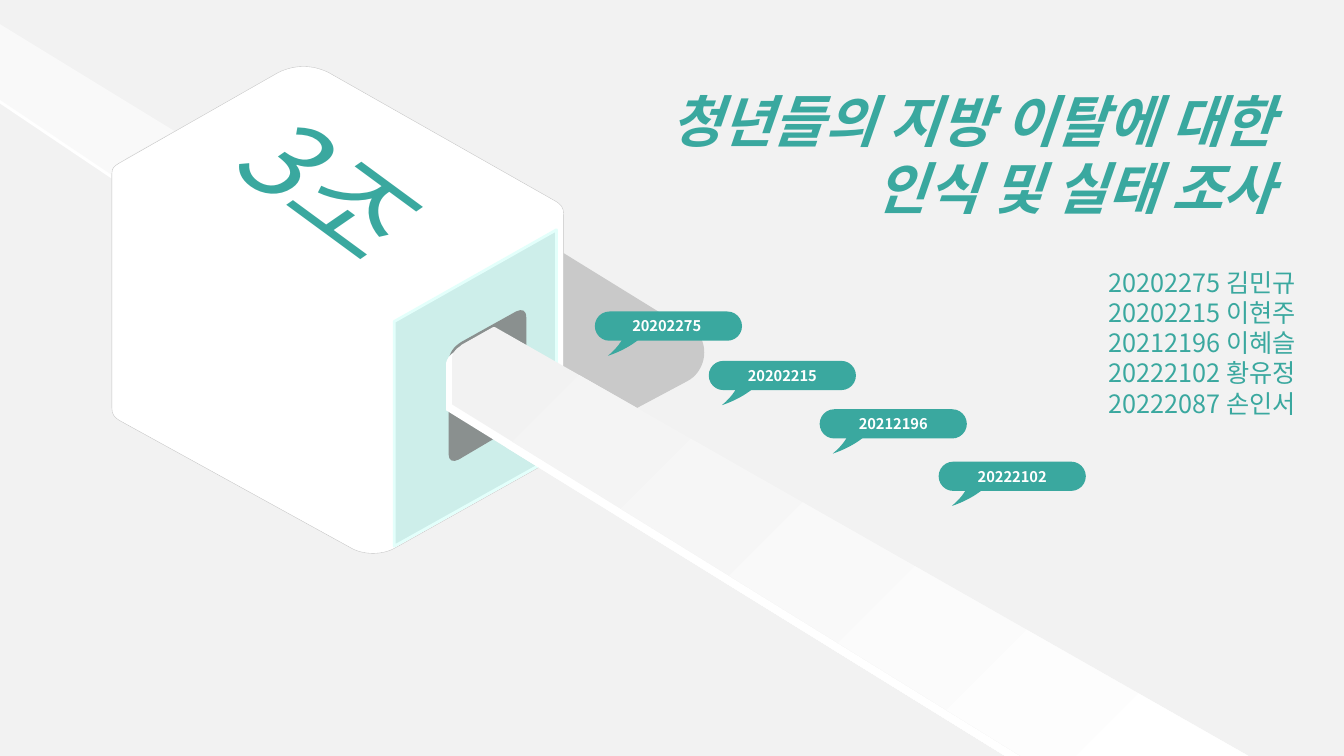
from lxml import etree
from pptx import Presentation
from pptx.dml.color import RGBColor
from pptx.enum.shapes import MSO_SHAPE as Preset
from pptx.enum.text import MSO_ANCHOR as Anchor, MSO_AUTO_SIZE as AutoSize, PP_ALIGN as Align
from pptx.oxml.ns import qn
from pptx.util import Inches, Pt

TITLE = "청년들의 지방 이탈에 대한 인식 및 실태 조사"
TEAM = "3조"
MEMBERS = [
    ("20202275", "김민규"),
    ("20202215", "이현주"),
    ("20212196", "이혜슬"),
    ("20222102", "황유정"),
    ("20222087", "손인서"),
]
TAGS = [
    ("20202275 ", (5.9, 3.09)),
    ("20202215", (7.03, 3.58)),
    ("20212196", (8.13, 4.06)),
    ("20222102", (9.31, 4.58)),
]

WIDTH, HEIGHT = 13.33, 7.5
TAG_SIZE = (1.46, 0.29)
FONT = "Noto Sans CJK KR"
COLORS = {
    "background": "F2F2F2",
    "teal": "3AA89F",
    "white": "FFFFFF",
    "mint": "CDEEEA",
    "glow": "E3FFFB",
    "hole": "8A908F",
    "edge": "C4C4C4",
    "rear belt": "F9F9F9",
    "black": "000000",
}

CUBE_SHADOW = [
    (2.39, 3.31), (2.3, 3.16, 2.36, 2.97, 2.52, 2.89),
    (3.51, 2.36, 1.6, 2.78, 2.59, 2.25), (2.75, 2.16, 4.65, 1.83, 4.73, 1.98),
    (6.95, 3.35), (7.03, 3.5, 6.97, 3.7, 6.82, 3.78),
    (3.84, 5.37), (3.68, 5.45, 3.49, 5.39, 3.41, 5.24),
]
CUBE = [
    (1.11, 1.72), (1.11, 1.67, 1.13, 1.65, 1.18, 1.62),
    (2.76, 0.72), (2.92, 0.64, 3.1, 0.64, 3.26, 0.72),
    (5.5, 1.99), (5.57, 2.03, 5.59, 2.06, 5.59, 2.13),
    (5.59, 4.38), (5.59, 4.47, 5.57, 4.51, 5.5, 4.55),
    (3.93, 5.43), (3.8, 5.51, 3.6, 5.51, 3.47, 5.43),
    (1.2, 4.18), (1.13, 4.14, 1.11, 4.11, 1.11, 4.05),
]
FACE = [(3.91, 3.19), (5.52, 2.28), (5.52, 4.52), (3.91, 5.42)]
HOLE = [
    (4.45, 3.6), (4.45, 3.5, 4.5, 3.44, 4.58, 3.39),
    (5.12, 3.09), (5.18, 3.06, 5.22, 3.08, 5.22, 3.15),
    (5.22, 4.1), (5.22, 4.15, 5.2, 4.18, 5.16, 4.2),
    (4.55, 4.56), (4.49, 4.59, 4.45, 4.57, 4.45, 4.51),
]
FRONT_BELT = [
    (4.9, 3.24), (12.4, 7.51), (10.14, 7.51), (4.48, 4.01), (4.48, 3.57),
    (4.48, 3.53, 4.5, 3.49, 4.53, 3.46), (4.57, 3.43), (4.58, 3.42),
]
REAR_BELT = [
    (0, 0.24), (1.73, 1.3), (1.25, 1.57), (1.24, 1.59), (1.2, 1.61),
    (1.17, 1.64, 1.16, 1.68, 1.16, 1.72), (1.16, 1.77), (0, 0.99),
]
TAIL = [
    (0.56, 0.13), (0.31, 0.15), (0.31, 0.17),
    (0.3, 0.25, 0.24, 0.35, 0.13, 0.44), (0.31, 0.38, 0.46, 0.28, 0.53, 0.18),
]


def color(name):
    return RGBColor.from_string(COLORS[name])


def paint(shape, fill):
    shape.shadow.inherit = False
    shape.fill.solid()
    shape.fill.fore_color.rgb = color(fill)
    shape.line.fill.background()
    return shape


def draw(shapes, outline, fill, corner=(0, 0)):
    points = [
        (Inches(step[i] + corner[0]), Inches(step[i + 1] + corner[1]))
        for step in outline for i in range(0, len(step), 2)
    ]
    builder = shapes.build_freeform(*points[0])
    builder.add_line_segments(points[1:], close=True)
    shape = builder.convert_to_shape()
    segments = list(shape._element.iter(qn("a:lnTo")))
    for step in outline[1:]:
        parts = [segments.pop(0) for _ in range(len(step) // 2)]
        if len(parts) == 3:
            curve = etree.Element(qn("a:cubicBezTo"))
            parts[0].addprevious(curve)
            for part in parts:
                curve.append(part[0])
                part.getparent().remove(part)
    return paint(shape, fill)


def set_line(shape, fill, points):
    shape.line.color.rgb = color(fill)
    shape.line.width = Pt(points)


def set_alpha(shape, percent):
    rgb = shape.fill._xPr.find(".//" + qn("a:srgbClr"))
    etree.SubElement(rgb, qn("a:alpha"), val=str(percent * 1000))


def cast_shadow(shape, points, degrees):
    effects = shape._element.spPr.find(qn("a:effectLst"))
    shadow = etree.SubElement(
        effects, qn("a:outerShdw"), blurRad="0", dist=str(Pt(points)),
        dir=str(degrees * 60000), algn="tl", rotWithShape="0")
    etree.SubElement(shadow, qn("a:srgbClr"), val=COLORS["white"])


def write(shape, lines, size, fill="teal", align=Align.LEFT, wrap=True, anchor=Anchor.TOP,
          grow=True, level=0, **style):
    frame = shape.text_frame
    settings = {
        "word_wrap": wrap,
        "vertical_anchor": anchor,
        "auto_size": AutoSize.SHAPE_TO_FIT_TEXT if grow else AutoSize.NONE,
    }
    for name, value in settings.items():
        setattr(frame, name, value)
    for index, line in enumerate(lines):
        paragraph = frame.paragraphs[0] if index == 0 else frame.add_paragraph()
        layout = {"alignment": align, "level": level, "line_spacing": 1.0, "space_before": Pt(0)}
        for name, value in layout.items():
            setattr(paragraph, name, value)
        if level:
            paragraph._p.get_or_add_pPr().set("marL", str(Inches(0.5)))
        run = paragraph.add_run()
        run.text = line
        for name, value in {"name": FONT, "size": Pt(size), **style}.items():
            setattr(run.font, name, value)
        run.font.color.rgb = color(fill)
        properties = run._r.get_or_add_rPr()
        properties.set("kern", "0")
        etree.SubElement(properties, qn("a:ea"), typeface=FONT)


def place(shape, *box):
    for name, value in zip(("left", "top", "width", "height"), box):
        setattr(shape, name, Inches(value))
    return shape


def text_box(shapes, *box):
    return shapes.add_textbox(*map(Inches, box))


def main():
    presentation = Presentation()
    presentation.slide_width, presentation.slide_height = Inches(WIDTH), Inches(HEIGHT)
    slide = presentation.slides.add_slide(presentation.slide_layouts[5])
    slide.background.fill.solid()
    slide.background.fill.fore_color.rgb = color("background")
    shapes = slide.shapes

    set_alpha(draw(shapes, CUBE_SHADOW, "black"), 17)
    cast_shadow(draw(shapes, REAR_BELT, "rear belt"), 4, 180)
    set_line(draw(shapes, CUBE, "white"), "edge", 0.25)
    set_line(draw(shapes, FACE, "mint"), "glow", 2)
    draw(shapes, HOLE, "hole")

    front_belt = draw(shapes, FRONT_BELT, "white")
    front_belt.fill.gradient()
    front_belt.fill.gradient_angle = 315
    for stop, name in zip(front_belt.fill.gradient_stops, ("background", "white")):
        stop.color.rgb = color(name)
    cast_shadow(front_belt, 6, 135)

    title = place(shapes.title, 5.74, 0.81, 7, 1.45)
    write(title, [TITLE], 40, align=Align.RIGHT, bold=True, italic=True)

    for number, corner in TAGS:
        tag = shapes.add_group_shape().shapes
        draw(tag, TAIL, "teal", corner)
        label = tag.add_shape(Preset.ROUNDED_RECTANGLE, *map(Inches, corner + TAG_SIZE))
        label.adjustments[0] = 0.5
        write(paint(label, "teal"), [number], 10.5, "white", Align.CENTER, False,
              Anchor.MIDDLE, False, bold=True)

    write(text_box(shapes, 10.29, 2.6, 2.66, 1.62), [" ".join(member) for member in MEMBERS],
          18, align=Align.RIGHT, wrap=False, level=1)
    team = text_box(shapes, 2.23, 1.2, 2.25, 1.45)
    team.rotation = 36.3
    write(team, [TEAM], 80, italic=True)
    presentation.save("out.pptx")


if __name__ == "__main__":
    main()
